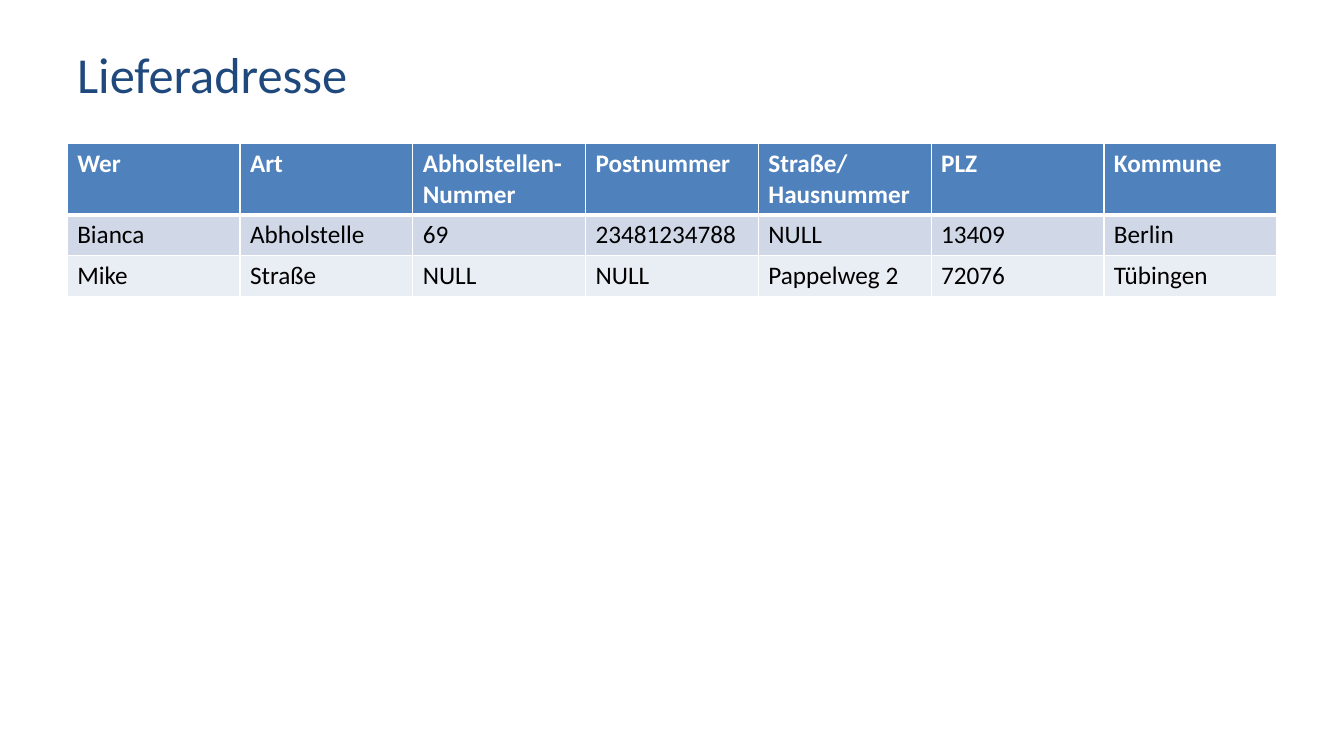
import dataclasses

import lxml.etree
import pptx
import pptx.dml.color
import pptx.enum.text
import pptx.oxml.ns
import pptx.util

Pt = pptx.util.Pt
qn = pptx.oxml.ns.qn


@dataclasses.dataclass(frozen=True)
class Theme:
    font: str = "Calibri"
    title_size: float = 36
    table_size: float = 18
    title: str = "1F497D"
    header: str = "4F81BD"
    header_text: str = "FFFFFF"
    body_text: str = "000000"
    bands: tuple = ("D0D8E8", "E9EDF4")
    border: str = "FFFFFF"
    thin: float = 0.96
    thick: float = 3


class Deck:
    """Draw styled elements on the current slide."""

    def __init__(self, prs, theme):
        self.theme = theme
        self.s = prs.slides.add_slide(prs.slide_layouts[6])

    def style(self, p, size, color, bold=False):
        p.font.name = self.theme.font
        p.font.size = Pt(size)
        p.font.bold = bold
        p.font.color.rgb = pptx.dml.color.RGBColor.from_string(color)

    def title(self, text, x, y, w, h):
        tf = self.s.shapes.add_textbox(Pt(x), Pt(y), Pt(w), Pt(h)).text_frame
        tf.word_wrap = True
        tf.vertical_anchor = pptx.enum.text.MSO_ANCHOR.MIDDLE
        p = tf.paragraphs[0]
        p.text = text
        self.style(p, self.theme.title_size, self.theme.title)

    def borders(self, cell, widths):
        tc_pr = cell._tc.get_or_add_tcPr()
        for i, (side, width) in enumerate(zip("LRTB", widths)):
            ln = lxml.etree.Element(qn(f"a:ln{side}"), w=str(int(Pt(width))))
            fill = lxml.etree.SubElement(ln, qn("a:solidFill"))
            lxml.etree.SubElement(fill, qn("a:srgbClr"), val=self.theme.border)
            tc_pr.insert(i, ln)

    def cell(self, cell, text, row):
        t = self.theme
        head = row == 0
        fill = t.header if head else t.bands[(row - 1) % len(t.bands)]
        cell.fill.solid()
        cell.fill.fore_color.rgb = pptx.dml.color.RGBColor.from_string(fill)
        p = cell.text_frame.paragraphs[0]
        p.text = text
        self.style(p, t.table_size, t.header_text if head else t.body_text, head)
        top = t.thick if row == 1 else t.thin
        bottom = t.thick if head else t.thin
        self.borders(cell, (t.thin, t.thin, top, bottom))

    def table(self, rows, x, y, w, heights):
        frame = self.s.shapes.add_table(
            len(rows), len(rows[0]), Pt(x), Pt(y), Pt(w), Pt(sum(heights)))
        table = frame.table
        for column in table.columns:
            column.width = Pt(w / len(rows[0]))
        for i, (row, height) in enumerate(zip(rows, heights)):
            table.rows[i].height = Pt(height)
            for j, text in enumerate(row):
                self.cell(table.cell(i, j), text, i)


ADDRESSES = [
    ("Wer", "Art", "Abholstellen-Nummer", "Postnummer",
     "Straße/Hausnummer", "PLZ", "Kommune"),
    ("Bianca", "Abholstelle", "69", "23481234788", "NULL", "13409", "Berlin"),
    ("Mike", "Straße", "NULL", "NULL", "Pappelweg 2", "72076", "Tübingen"),
]


def main():
    prs = pptx.Presentation()
    prs.slide_width, prs.slide_height = Pt(960), Pt(540)
    deck = Deck(prs, Theme())
    deck.title("Lieferadresse", 48, 21.6, 864, 61.2)
    deck.table(ADDRESSES, 48, 102.4, 864, (51, 29.2, 29.2))
    prs.save("out.pptx")


if __name__ == "__main__":
    main()
